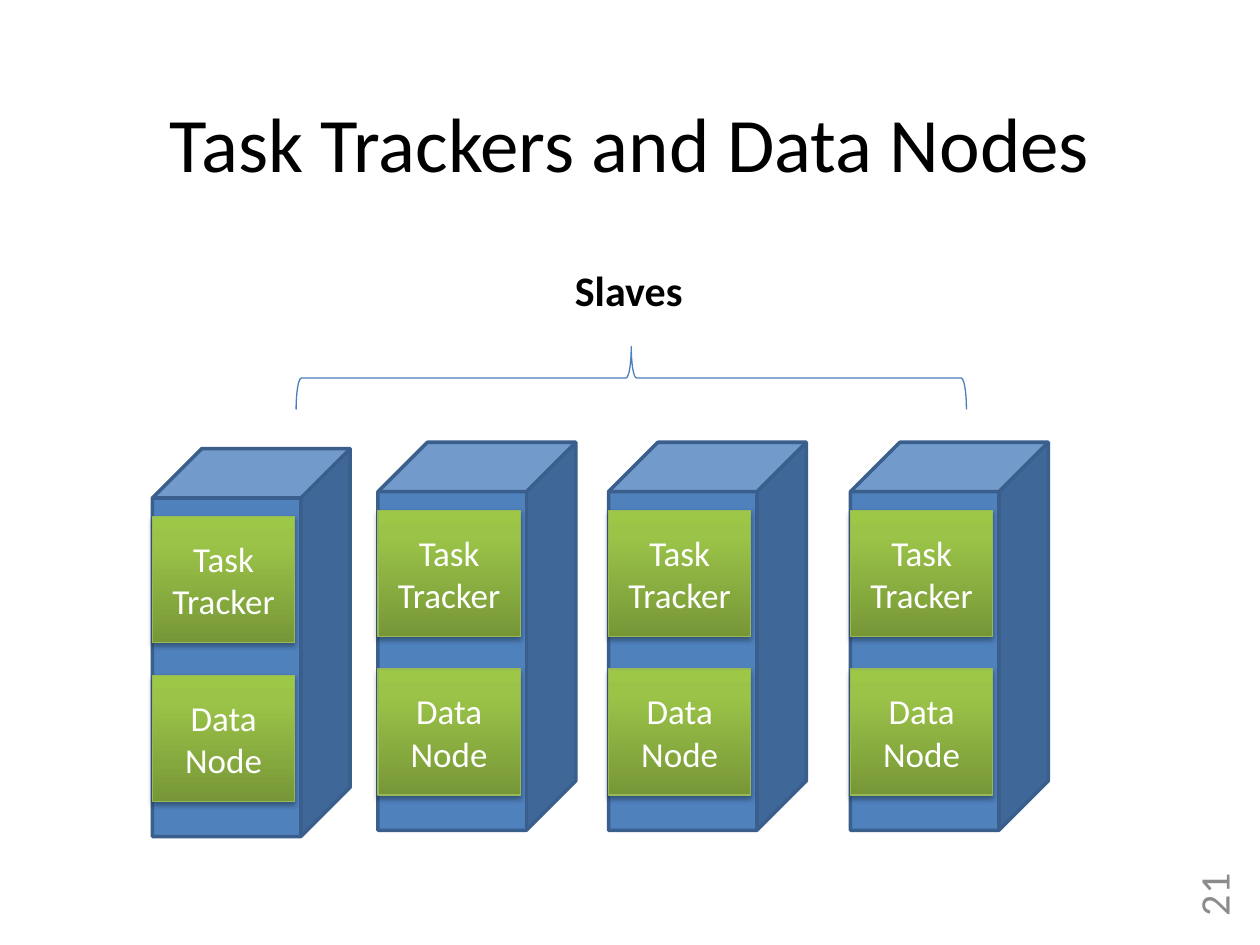
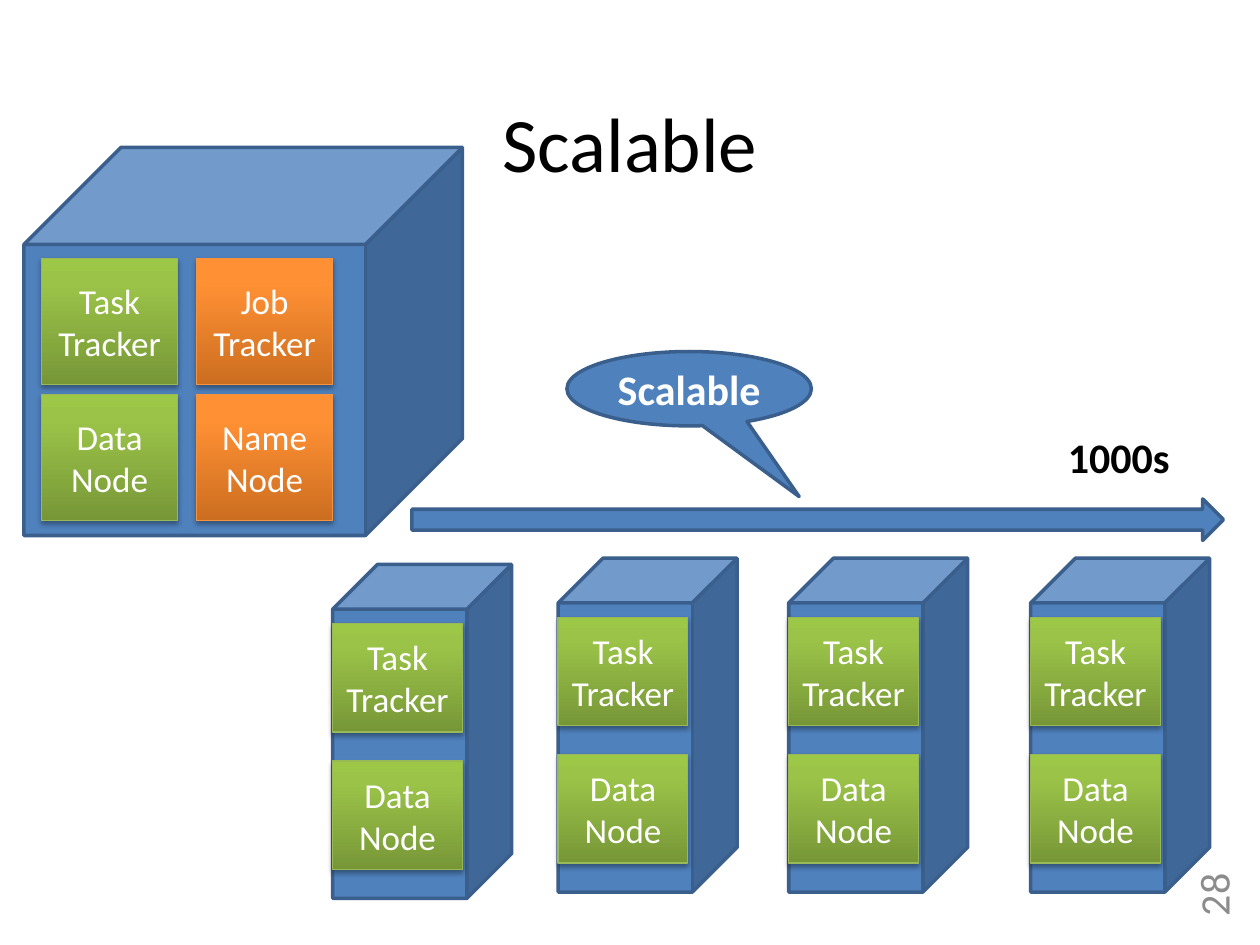
from lxml import etree
from pptx import Presentation
from pptx.dml.color import RGBColor
from pptx.enum.shapes import MSO_SHAPE
from pptx.enum.text import MSO_ANCHOR, PP_ALIGN
from pptx.oxml import parse_xml
from pptx.util import Inches, Pt

CUBE, RECT, BRACE = MSO_SHAPE.CUBE, MSO_SHAPE.RECTANGLE, MSO_SHAPE.RIGHT_BRACE
ARROW, CALLOUT = MSO_SHAPE.RIGHT_ARROW, MSO_SHAPE.OVAL_CALLOUT
CENTER, RIGHT, MIDDLE = PP_ALIGN.CENTER, PP_ALIGN.RIGHT, MSO_ANCHOR.MIDDLE

FONT = "Calibri"
NS = "http://schemas.openxmlformats.org/drawingml/2006/main"
COLORS = {
    "text": "000000", "white": "FFFFFF", "number": "8C8C8C",
    "blue": "4F81BD", "blue_line": "3A5F8C", "brace": "4B7EBC",
    "green_line": "98B955", "orange_line": "F69240",
}
# Gradient stops from bottom to top: percent, colour
GRADIENTS = {
    "green": [(0, "779737"), (80, "9BC348"), (100, "9DC746")],
    "orange": [(0, "CC6E20"), (80, "FF9034"), (100, "FF9136")],
}
# Server row: offset from the first server, and drop below the row top
SERVERS = [(0, 0.05), (1.79, 0), (3.62, 0), (5.54, 0)]
WORKER_ROLES = ["Task Tracker", "Data Node"]
MASTER_ROLES = ["Job Tracker", "Name Node"]


def rgb(name):
    return RGBColor.from_string(COLORS[name])


def write(sp, text, size, color="text", bold=False, align=CENTER, inset=0.1):
    tf = sp.text_frame
    tf.word_wrap = True
    tf.vertical_anchor = MIDDLE
    tf.margin_left = tf.margin_right = Inches(inset)
    p = tf.paragraphs[0]
    p.alignment = align
    r = p.add_run()
    r.text = text
    r.font.name, r.font.size, r.font.bold = FONT, Pt(size), bold
    r.font.color.rgb = rgb(color)


def add_text(s, box, text, size, **style):
    sp = s.shapes.add_textbox(*map(Inches, box))
    write(sp, text, size, **style)
    return sp


def add_blue(shapes, kind, box):
    """Preset shape in the deck's blue with a dark outline."""
    sp = shapes.add_shape(kind, *map(Inches, box))
    sp.shadow.inherit = False
    sp.fill.solid()
    sp.fill.fore_color.rgb = rgb("blue")
    sp.line.color.rgb = rgb("blue_line")
    sp.line.width = Pt(2)
    return sp


def add_role(shapes, box, text, hue):
    """Gradient tile with a soft shadow, naming one role of a server."""
    sp = shapes.add_shape(RECT, *map(Inches, box))
    spPr = sp.fill._xPr
    stops = "".join(
        f'<a:gs pos="{pos * 1000}"><a:srgbClr val="{color}"/></a:gs>'
        for pos, color in GRADIENTS[hue])
    spPr.append(parse_xml(
        f'<a:gradFill xmlns:a="{NS}" rotWithShape="1"><a:gsLst>{stops}</a:gsLst>'
        '<a:lin ang="16200000" scaled="0"/></a:gradFill>'))
    sp.line.color.rgb = rgb(hue + "_line")
    sp.line.width = Pt(0.75)
    sp.shadow.inherit = False
    effects = spPr.find(f"{{{NS}}}effectLst")
    shadow = etree.SubElement(
        effects, f"{{{NS}}}outerShdw", blurRad=str(Pt(3.1)), dist=str(Pt(1.8)),
        dir="5400000", rotWithShape="0")
    color = etree.SubElement(shadow, f"{{{NS}}}srgbClr", val=COLORS["text"])
    etree.SubElement(color, f"{{{NS}}}alpha", val="35000")
    write(sp, text, 20, color="white", inset=0.05)


def add_server(s, box, columns, first, tile, pitch):
    """Cube with columns of role tiles; first and pitch are (x, y) offsets."""
    shapes = s.shapes.add_group_shape().shapes
    add_blue(shapes, CUBE, box)
    for col, (roles, hue) in enumerate(columns):
        for row, role in enumerate(roles):
            x = box[0] + first[0] + col * pitch[0]
            y = box[1] + first[1] + row * pitch[1]
            add_role(shapes, (x, y, *tile), role, hue)


def add_worker_row(s, left, top, size, first_y, tile, pitch_y):
    for dx, drop in SERVERS:
        add_server(s, (left + dx, top + drop, *size), [(WORKER_ROLES, "green")],
                   (0, first_y), tile, (0, pitch_y))


def add_slide(prs, title, number):
    s = prs.slides.add_slide(prs.slide_layouts[6])
    sp = add_text(s, (9.29, 6.96, 0.67, 0.42), number, 24, color="number", align=RIGHT)
    sp.rotation = 270
    add_text(s, (0.5, 0.5, 9, 1.25), title, 44)
    return s


def build_trackers(prs):
    s = add_slide(prs, "Task Trackers and Data Nodes", "21")
    add_worker_row(s, 1.21, 3.51, (1.57, 3.08), 0.54, (1.13, 1), 1.26)
    # Brace over the server row
    brace = s.shapes.add_shape(BRACE, *map(Inches, (4.76, 0.34, 0.5, 5.32)))
    brace.rotation = 270
    brace.shadow.inherit = False
    brace.fill.background()
    brace.line.color.rgb = rgb("brace")
    brace.line.width = Pt(0.75)
    add_text(s, (3.08, 1.92, 3.82, 0.75), "Slaves", 24, bold=True)


def build_scalable(prs):
    s = add_slide(prs, "Scalable", "28")
    add_worker_row(s, 2.64, 4.43, (1.42, 2.65), 0.47, (1.03, 0.86), 1.09)
    # Master server
    add_server(s, (0.19, 1.17, 3.48, 3.08),
               [(WORKER_ROLES, "green"), (MASTER_ROLES, "orange")],
               (0.14, 0.88), (1.08, 1), (1.23, 1.08))
    # Growth arrow and its labels
    add_text(s, (8.18, 3.33, 1.4, 0.59), "1000s", 24, bold=True)
    add_blue(s.shapes, ARROW, (3.27, 3.96, 6.44, 0.33))
    callout = add_blue(s.shapes, CALLOUT, (4.5, 2.79, 1.94, 0.59))
    callout.adjustments[0], callout.adjustments[1] = 0.45, 1.45
    write(callout, "Scalable", 24, color="white", bold=True, inset=0)


def main():
    prs = Presentation()
    prs.slide_width, prs.slide_height = Inches(10), Inches(7.5)
    build_trackers(prs)
    build_scalable(prs)
    prs.save("out.pptx")


if __name__ == "__main__":
    main()
